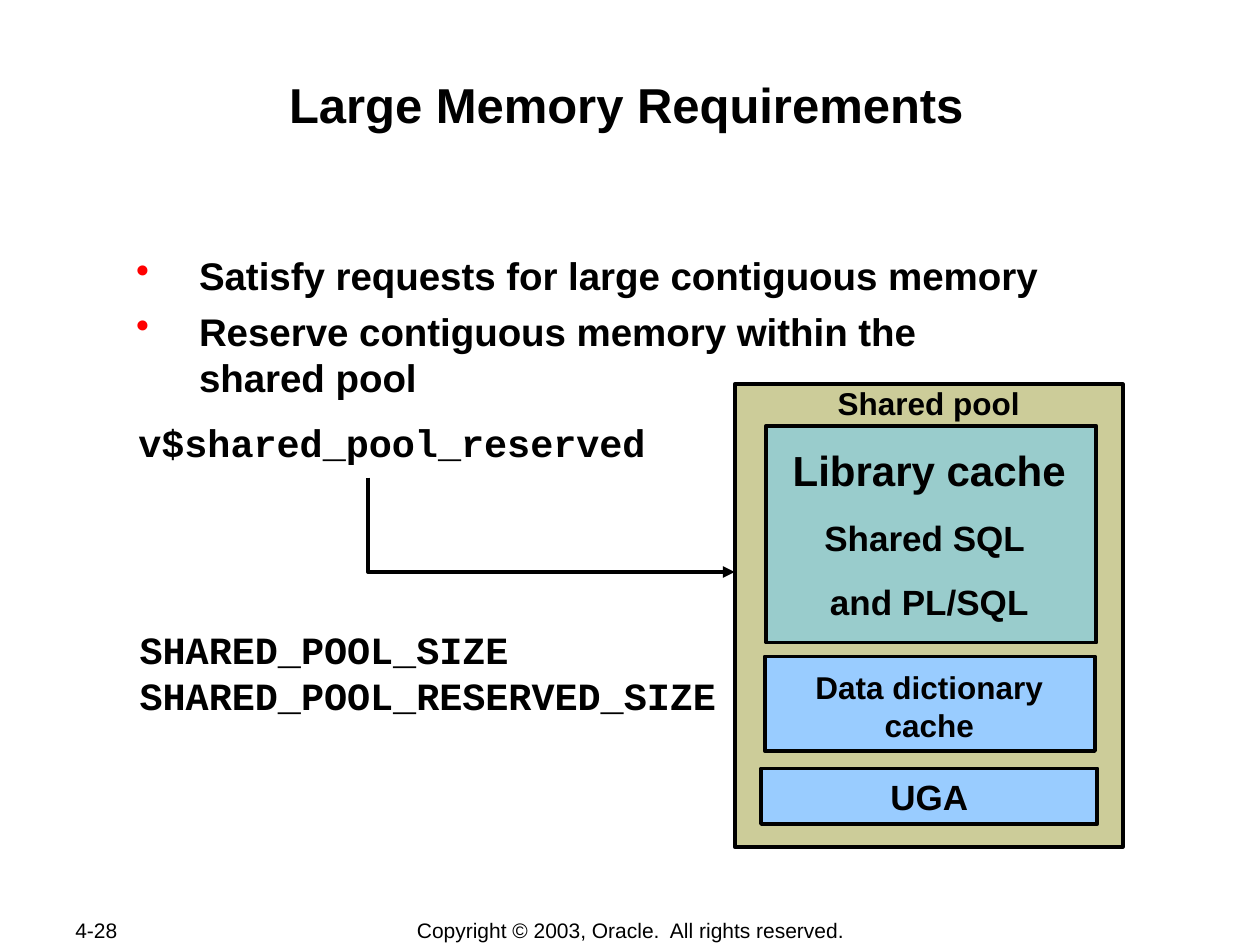
from lxml import etree
from pptx import Presentation, util as u
from pptx.dml.color import RGBColor
from pptx.enum import shapes, text
from pptx.oxml.ns import qn

W, H = u.Inches(10), u.Inches(7.5)
BLACK, RED = "000000", "FF0000"
OLIVE, BLUE, TEAL = "CCCC99", "99CCFF", "99CCCC"
LEFT, CENTER = text.PP_ALIGN.LEFT, text.PP_ALIGN.CENTER
TOP, MIDDLE = text.MSO_ANCHOR.TOP, text.MSO_ANCHOR.MIDDLE
MONO = "Courier New"


def rgb(value):
    return RGBColor.from_string(value)


def place(x, y, w, h):
    """Turn percentages of the slide's width and height into lengths."""
    return [round(share * side / 100) for share, side in zip((x, y, w, h), (W, H, W, H))]


def outline(sp):
    sp.shadow.inherit = False
    sp.line.color.rgb = rgb(BLACK)
    sp.line.width = u.Pt(2.25)


def write(sp, lines, size, font="Arial", bold=True, align=LEFT, anchor=TOP,
          wrap=False, inset=(0.1, 0.05), gap=0):
    """Fill a shape with one paragraph for each line."""
    tf = sp.text_frame
    tf.word_wrap, tf.vertical_anchor = wrap, anchor
    tf.margin_left = tf.margin_right = u.Inches(inset[0])
    tf.margin_top = tf.margin_bottom = u.Inches(inset[1])
    for i, line in enumerate(lines):
        p = tf.add_paragraph() if i else tf.paragraphs[0]
        p.text, p.alignment = line, align
        if i and gap:
            p.space_before = u.Pt(gap)
        p.font.name, p.font.size, p.font.bold = font, u.Pt(size), bold
        p.font.color.rgb = rgb(BLACK)
    return tf


def add_text(s, box, lines, size, **style):
    return write(s.shapes.add_textbox(*place(*box)), lines, size, **style)


def add_box(s, box, fill):
    sp = s.shapes.add_shape(shapes.MSO_SHAPE.RECTANGLE, *place(*box))
    sp.fill.solid()
    sp.fill.fore_color.rgb = rgb(fill)
    outline(sp)
    return sp


def add_bullets(s, box, lines, size, **style):
    tf = add_text(s, box, lines, size, **style)
    for p in tf.paragraphs:
        pPr = p._p.get_or_add_pPr()
        pPr.set("marL", str(u.Inches(0.63)))
        pPr.set("indent", str(u.Inches(-0.5)))
        color = etree.Element(qn("a:buClr"))
        etree.SubElement(color, qn("a:srgbClr"), val=RED)
        char = etree.Element(qn("a:buChar"), char="•")
        font = pPr.find(qn("a:defRPr"))
        font.addprevious(color)
        font.addprevious(char)


def add_elbow_arrow(s, start, corner, end):
    points = [place(*point, 0, 0)[:2] for point in (start, corner, end)]
    builder = s.shapes.build_freeform(*points[0])
    builder.add_line_segments(points[1:], close=False)
    sp = builder.convert_to_shape()
    sp.fill.background()
    outline(sp)
    etree.SubElement(sp.line._get_or_add_ln(), qn("a:tailEnd"), type="triangle")


def add_shared_pool(s):
    add_box(s, (58.3, 40.67, 30.8, 48.93), OLIVE)
    add_box(s, (60.7, 69.47, 26.2, 10), BLUE)
    add_box(s, (60.8, 45.07, 26.2, 22.93), TEAL)
    add_text(s, (62.5, 70.67, 22.5, 8.13), ["Data dictionary\vcache"], 18,
             align=CENTER, anchor=MIDDLE, inset=(0.11, 0.06))
    write(add_box(s, (60.4, 81.33, 26.7, 5.87), BLUE), ["UGA"], 20,
          align=CENTER, anchor=MIDDLE)
    add_text(s, (65.5, 40, 16.5, 5.33), ["Shared pool"], 18)
    tf = add_text(s, (60, 46.4, 27.5, 20.27), ["Library cache", "Shared SQL ", "and PL/SQL"],
                  20, align=CENTER, wrap=True, gap=12.5)
    tf.paragraphs[0].font.size = u.Pt(24)


def main():
    prs = Presentation()
    prs.slide_width, prs.slide_height = W, H
    s = prs.slides.add_slide(prs.slide_layouts[6])

    add_text(s, (5, 97.07, 10.6, 2.67), ["4-28"], 12, bold=False, anchor=MIDDLE, wrap=True)
    add_text(s, (27.6, 97.07, 44.9, 2.8), ["Copyright © 2003, Oracle.  All rights reserved."],
             12, bold=False, align=CENTER, anchor=MIDDLE)
    add_text(s, (9.7, 7.73, 80, 12.8), ["Large Memory Requirements"], 28,
             align=CENTER, wrap=True, inset=(0.01, 0.01))
    add_bullets(s, (9.4, 26.53, 80.6, 16),
                ["Satisfy requests for large contiguous memory",
                 "Reserve contiguous memory within the\vshared pool"],
                22, wrap=True, inset=(0.01, 0.01), gap=5.5)
    add_text(s, (10.1, 65.6, 47.8, 11.07),
             ["SHARED_POOL_SIZE", "SHARED_POOL_RESERVED_SIZE"], 22, font=MONO)
    add_shared_pool(s)
    add_elbow_arrow(s, (29.2, 50.53), (29.2, 60.53), (58.3, 60.53))
    add_text(s, (10, 43.73, 45, 6.27), ["v$shared_pool_reserved"], 22, font=MONO, wrap=True)

    prs.save("out.pptx")


if __name__ == "__main__":
    main()
